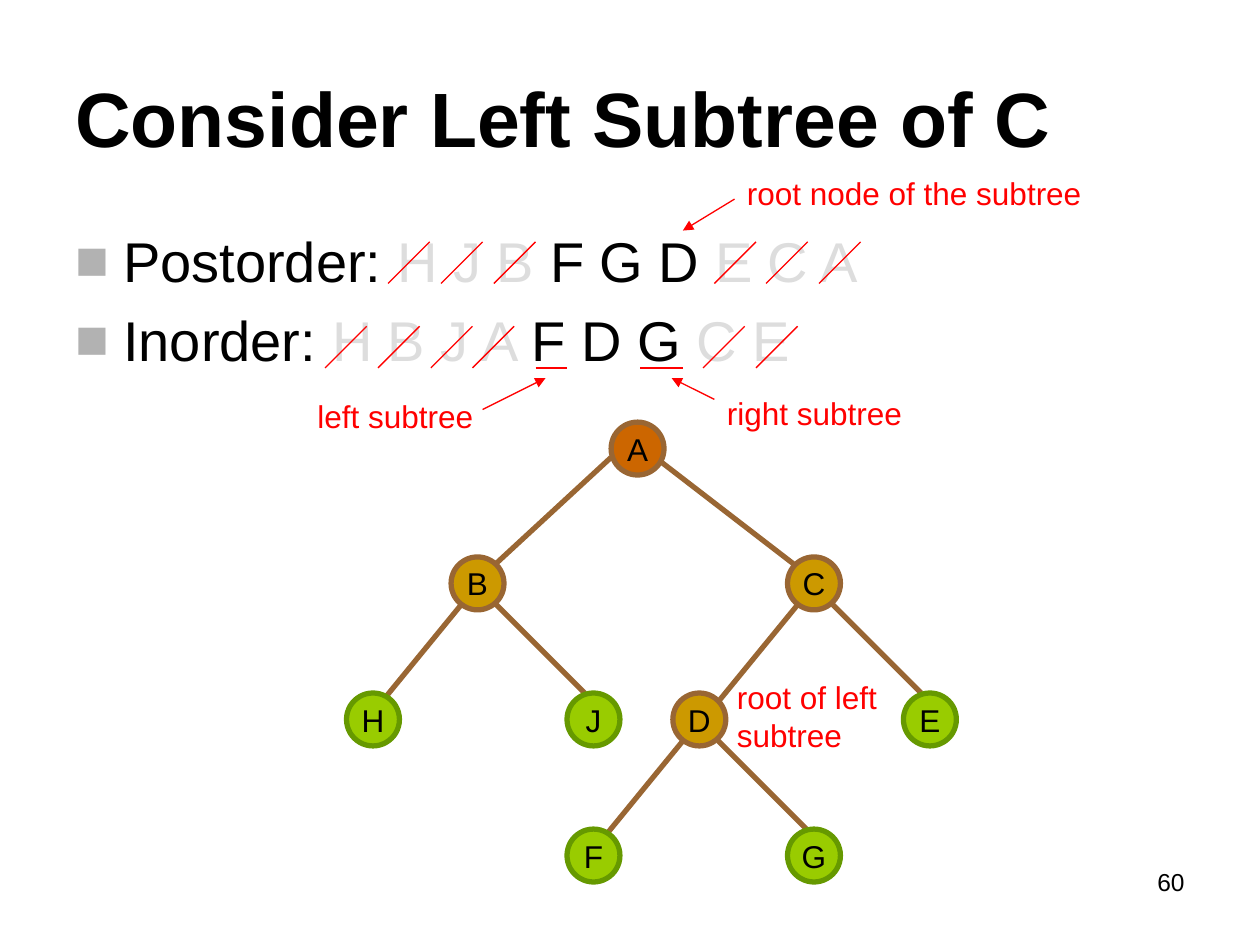
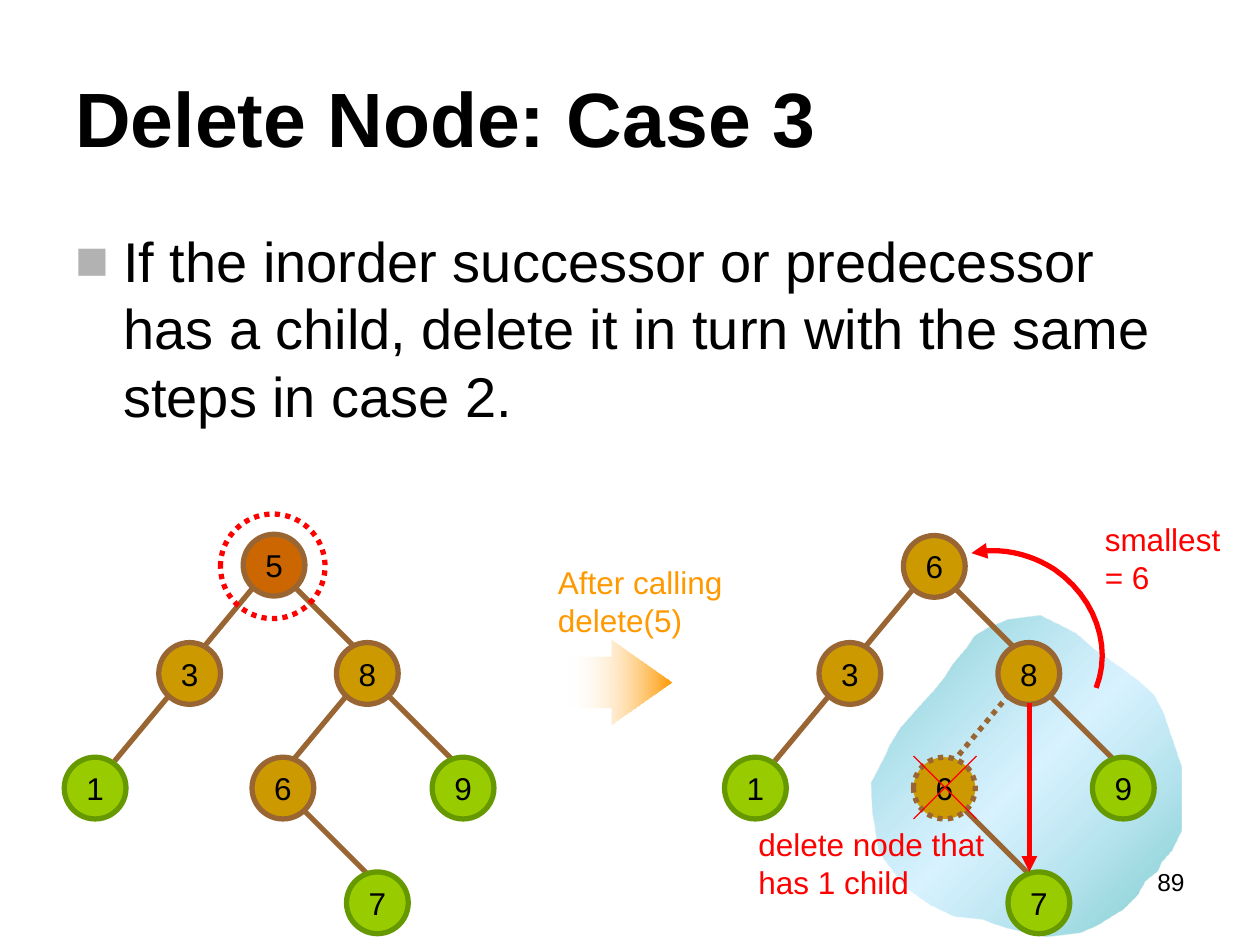
from lxml import etree
from pptx import Presentation
from pptx.dml.color import RGBColor
from pptx.enum.dml import MSO_LINE
from pptx.enum.shapes import MSO_CONNECTOR, MSO_SHAPE
from pptx.enum.text import MSO_ANCHOR, PP_ALIGN
from pptx.oxml.ns import qn
from pptx.util import Inches, Pt

STRAIGHT = MSO_CONNECTOR.STRAIGHT
ELLIPSE = MSO_SHAPE.OVAL
UP_ARROW = MSO_SHAPE.UP_ARROW
DOTTED = MSO_LINE.ROUND_DOT
MIDDLE = MSO_ANCHOR.MIDDLE
LEFT, CENTER, RIGHT = PP_ALIGN.LEFT, PP_ALIGN.CENTER, PP_ALIGN.RIGHT

FONT = "Arial"
BLACK, RED, ORANGE = "000000", "FF0000", "FF9900"
FADED, BULLET, BROWN = "DDDDDD", "B2B2B2", "996633"
ROOT = ("CC6600", BROWN)
INNER = ("CC9900", BROWN)
LEAF = ("99CC00", "669900")
THIN, THICK = 0.75, 3


def color(value):
    return RGBColor.from_string(value)


def curve_points(start, *curves, steps=12):
    """Points along joined cubic curves, each given as two controls and an end."""
    points = [start]
    for first, second, end in curves:
        begin = points[-1]
        for step in range(1, steps + 1):
            t = step / steps
            weights = ((1 - t) ** 3, 3 * t * (1 - t) ** 2, 3 * t * t * (1 - t), t ** 3)
            corners = (begin, first, second, end)
            points.append(tuple(sum(w * corner[axis] for w, corner in zip(weights, corners))
                                for axis in (0, 1)))
    return points


class Deck:
    def __init__(self):
        self.presentation = Presentation()
        self.presentation.slide_width = Inches(10)
        self.presentation.slide_height = Inches(7.5)
        self.slide = None

    def new_slide(self, title, number):
        self.slide = self.presentation.slides.add_slide(self.presentation.slide_layouts[6])
        self.text((7.17, 6.83, 2.33, 0.52), [(str(number), BLACK)], 14, align=RIGHT)
        frame = self.text((0.5, 0.3, 9, 1.25), [(title, BLACK)], 44, bold=True)
        frame.vertical_anchor = MIDDLE

    def add_runs(self, paragraph, runs, size, bold=False):
        for words, ink in runs:
            run = paragraph.add_run()
            run.text = words
            run.font.name = FONT
            run.font.size = Pt(size)
            run.font.bold = bold
            run.font.color.rgb = color(ink)

    def text(self, box, runs, size, align=LEFT, bold=False):
        frame = self.slide.shapes.add_textbox(*map(Inches, box)).text_frame
        frame.word_wrap = True
        frame.paragraphs[0].alignment = align
        self.add_runs(frame.paragraphs[0], runs, size, bold)
        return frame

    def label(self, left, top, width, words, ink=RED, height=0.4):
        self.text((left, top, width, height), [(words, ink)], 18)

    def bullets(self, items):
        box = self.slide.shapes.add_textbox(*map(Inches, (0.5, 1.75, 9, 4.95)))
        frame = box.text_frame
        frame.word_wrap = True
        for index, runs in enumerate(items):
            paragraph = frame.add_paragraph() if index else frame.paragraphs[0]
            properties = paragraph._p.get_or_add_pPr()
            properties.set("marL", str(Inches(0.38)))
            properties.set("indent", str(Inches(-0.38)))
            tint = etree.SubElement(properties, qn("a:buClr"))
            etree.SubElement(tint, qn("a:srgbClr"), val=BULLET)
            etree.SubElement(properties, qn("a:buFont"), typeface=FONT)
            etree.SubElement(properties, qn("a:buChar"), char="■")
            if index:
                paragraph.space_before = Pt(6.4)
            self.add_runs(paragraph, runs, 32)

    def stroke(self, shape, ink, width, dotted=False, arrow=False):
        shape.line.color.rgb = color(ink)
        shape.line.width = Pt(width)
        if dotted:
            shape.line.dash_style = DOTTED
        if arrow:
            etree.SubElement(shape.line._get_or_add_ln(), qn("a:tailEnd"), type="triangle")

    def line(self, start, end, ink=RED, width=THIN, dotted=False, arrow=False):
        connector = self.slide.shapes.add_connector(STRAIGHT, *map(Inches, (*start, *end)))
        self.stroke(connector, ink, width, dotted, arrow)
        etree.SubElement(connector._element.spPr, qn("a:effectLst"))

    def circle(self, left, top, size, fill, outline, dotted=False):
        shape = self.slide.shapes.add_shape(ELLIPSE, *map(Inches, (left, top, size, size)))
        shape.shadow.inherit = False
        if fill:
            shape.fill.solid()
            shape.fill.fore_color.rgb = color(fill)
        else:
            shape.fill.background()
        self.stroke(shape, outline, THICK, dotted)
        return shape

    def node(self, name, left, top, size, style, dotted=False):
        frame = self.circle(left, top, size, *style, dotted).text_frame
        frame.word_wrap = False
        frame.vertical_anchor = MIDDLE
        frame.paragraphs[0].alignment = CENTER
        self.add_runs(frame.paragraphs[0], [(name, BLACK)], 18)

    def tree(self, nodes, branches, size, reach, dotted=()):
        """Draw branches that leave each parent low on its left or right side.

        reach maps a side to (offset in the parent, run to the child).
        """
        for parent, side in branches:
            left, top, _ = nodes[parent]
            (offset_x, offset_y), (run_x, run_y) = reach[side]
            x, y = left + offset_x, top + offset_y
            self.line((x, y), (x + run_x, y + run_y), BROWN, THICK, (parent, side) in dotted)
        for name, (left, top, style) in nodes.items():
            self.node(name, left, top, size, style, name in dotted)

    def outline(self, points, close):
        corners = [(Inches(x), Inches(y)) for x, y in points]
        builder = self.slide.shapes.build_freeform(*corners[0], scale=1.0)
        builder.add_line_segments(corners[1:], close=close)
        shape = builder.convert_to_shape()
        shape.shadow.inherit = False
        return shape

    def gradient(self, shape, stops, angle):
        """Fill with (position, colour, opacity) stops, in percent, and no line."""
        shape.fill.gradient()
        fill = shape._element.spPr.find(qn("a:gradFill"))
        fill.set("rotWithShape", "1")
        for child in list(fill):
            fill.remove(child)
        stop_list = etree.SubElement(fill, qn("a:gsLst"))
        for position, ink, opacity in stops:
            stop = etree.SubElement(stop_list, qn("a:gs"), pos=str(position * 1000))
            tint = etree.SubElement(stop, qn("a:srgbClr"), val=ink)
            etree.SubElement(tint, qn("a:alpha"), val=str(opacity * 1000))
        etree.SubElement(fill, qn("a:lin"), ang=str(angle * 60000), scaled="0")
        shape.line.fill.background()


def left_subtree_slide(deck):
    deck.new_slide("Consider Left Subtree of C", 60)
    deck.bullets([
        [("Postorder: ", BLACK), ("H J B", FADED), (" F G D ", BLACK), ("E C A", FADED)],
        [("Inorder: ", BLACK), ("H B J A ", FADED), ("F D G ", BLACK), ("C E", FADED)],
    ])
    deck.line((4.85, 3.63), (3.94, 4.47), BROWN, THICK)
    deck.line((5.2, 3.63), (6.33, 4.5), BROWN, THICK)
    nodes = {
        "A": (4.85, 3.35, ROOT),
        "B": (3.58, 4.42, INNER), "C": (6.25, 4.42, INNER),
        "H": (2.75, 5.5, LEAF), "J": (4.5, 5.5, LEAF),
        "D": (5.34, 5.5, INNER), "E": (7.17, 5.5, LEAF),
        "F": (4.5, 6.58, LEAF), "G": (6.25, 6.58, LEAF),
    }
    reach = {"left": ((0.08, 0.38), (-0.63, 0.77)), "right": ((0.36, 0.38), (0.7, 0.7))}
    branches = [(parent, side) for parent in "BCD" for side in reach]
    deck.tree(nodes, branches, 0.42, reach)

    deck.label(5.83, 1.33, 3.08, "root node of the subtree")
    deck.label(5.67, 3.08, 1.75, "right subtree")
    deck.label(2.42, 3.1, 1.75, "left subtree")
    deck.label(5.75, 5.33, 1.5, "root of left subtree", height=0.7)
    for start, end in (((5.83, 1.58), (5.42, 1.83)),
                       ((5.67, 3.17), (5.33, 3)),
                       ((3.83, 3.25), (4.33, 3))):
        deck.line(start, end, arrow=True)
    for start, end in ((4.25, 4.5), (5.08, 5.42)):
        deck.line((start, 2.92), (end, 2.92))

    strikes = {2.25: (3.08, 3.5, 3.92, 5.67, 6.08, 6.5),
               2.92: (2.58, 3, 3.42, 3.75, 5.58, 6)}
    for bottom, lefts in strikes.items():
        for left in lefts:
            deck.line((left, bottom), (left + 0.33, bottom - 0.33))


def delete_node_slide(deck):
    deck.new_slide("Delete Node: Case 3", 89)
    subtree_cloud = deck.outline([
        (8.01, 4.92), (7.84, 4.99), (7.74, 5.05), (7.68, 5.14), (7.57, 5.27), (7.5, 5.38),
        (7.42, 5.48), (7.3, 5.61), (7.15, 5.78), (7.07, 5.91), (7.03, 6), (6.92, 6.21),
        (6.93, 6.45), (6.98, 6.76), (7.04, 6.84), (7.19, 7.04), (7.39, 7.18), (7.58, 7.27),
        (7.79, 7.29), (7.93, 7.34), (8.03, 7.37), (8.3, 7.43), (8.57, 7.4), (8.71, 7.34),
        (8.92, 7.21), (9.03, 7.1), (9.09, 6.99), (9.19, 6.91), (9.22, 6.84), (9.3, 6.75),
        (9.38, 6.59), (9.38, 6.09), (9.23, 5.65), (9.16, 5.52), (9.04, 5.41), (8.92, 5.32),
        (8.69, 5.16), (8.54, 5.03), (8.36, 4.94), (8.26, 4.89),
    ], close=True)
    deck.gradient(subtree_cloud, [(0, "009999", 51), (50, "66CCFF", 25), (100, "009999", 51)], 45)
    deck.bullets([[("If the inorder successor or predecessor has a child, delete it in turn "
                    "with the same steps in case 2.", BLACK)]])

    reach = {"left": ((0.09, 0.41), (-0.44, 0.53)), "right": ((0.4, 0.41), (0.51, 0.51))}
    before = {
        "5": (1.93, 4.24, ROOT), "3": (1.26, 5.1, INNER), "8": (2.67, 5.1, INNER),
        "1": (0.51, 6.01, LEAF), "6": (2, 6.01, INNER), "9": (3.43, 6.01, LEAF),
        "7": (2.75, 6.92, LEAF),
    }
    lower_branches = [("3", "left"), ("8", "left"), ("8", "right"), ("6", "right")]
    deck.tree(before, [("5", "left"), ("5", "right")] + lower_branches, 0.49, reach)
    deck.circle(1.75, 4.08, 0.83, None, RED, dotted=True)

    after = {
        "3": (6.5, 5.1, INNER), "8": (7.92, 5.1, INNER),
        "1": (5.75, 6.01, LEAF), "6": (7.25, 6.01, INNER), "9": (8.67, 6.01, LEAF),
        "7": (8, 6.92, LEAF),
    }
    new_root = {"6": (7.17, 4.25, INNER)}
    deck.tree(new_root, [("6", "left"), ("6", "right")], 0.49, reach)
    deck.tree(after, lower_branches, 0.49, reach, dotted=("6", ("8", "left")))
    deck.line((7.25, 6.5), (7.75, 6))
    deck.line((7.25, 6), (7.75, 6.5))
    deck.line((8.17, 5.58), (8.17, 6.92), width=THICK, arrow=True)

    move_up = deck.outline(curve_points(
        (8.7, 5.46),
        ((8.83, 5.13), (8.69, 4.74), (8.37, 4.52)),
        ((8.17, 4.39), (7.93, 4.34), (7.71, 4.39))), close=False)
    move_up.fill.background()
    deck.stroke(move_up, RED, THICK, arrow=True)

    deck.label(4.33, 4.42, 1.83, "After calling delete(5)", ORANGE, 0.7)
    deck.label(8.67, 4.08, 1.17, "smallest = 6", height=0.7)
    deck.label(5.92, 6.5, 2, "delete node that has 1 child", height=0.7)

    result_arrow = deck.slide.shapes.add_shape(UP_ARROW, *map(Inches, (4.58, 5, 0.67, 0.83)))
    result_arrow.shadow.inherit = False
    result_arrow.rotation = 90
    result_arrow.adjustments[0] = 0.6
    result_arrow.adjustments[1] = 0.72
    deck.gradient(result_arrow, [(0, ORANGE, 100), (100, "FFFFFF", 0)], 90)


def main():
    deck = Deck()
    left_subtree_slide(deck)
    delete_node_slide(deck)
    deck.presentation.save("out.pptx")


if __name__ == "__main__":
    main()
